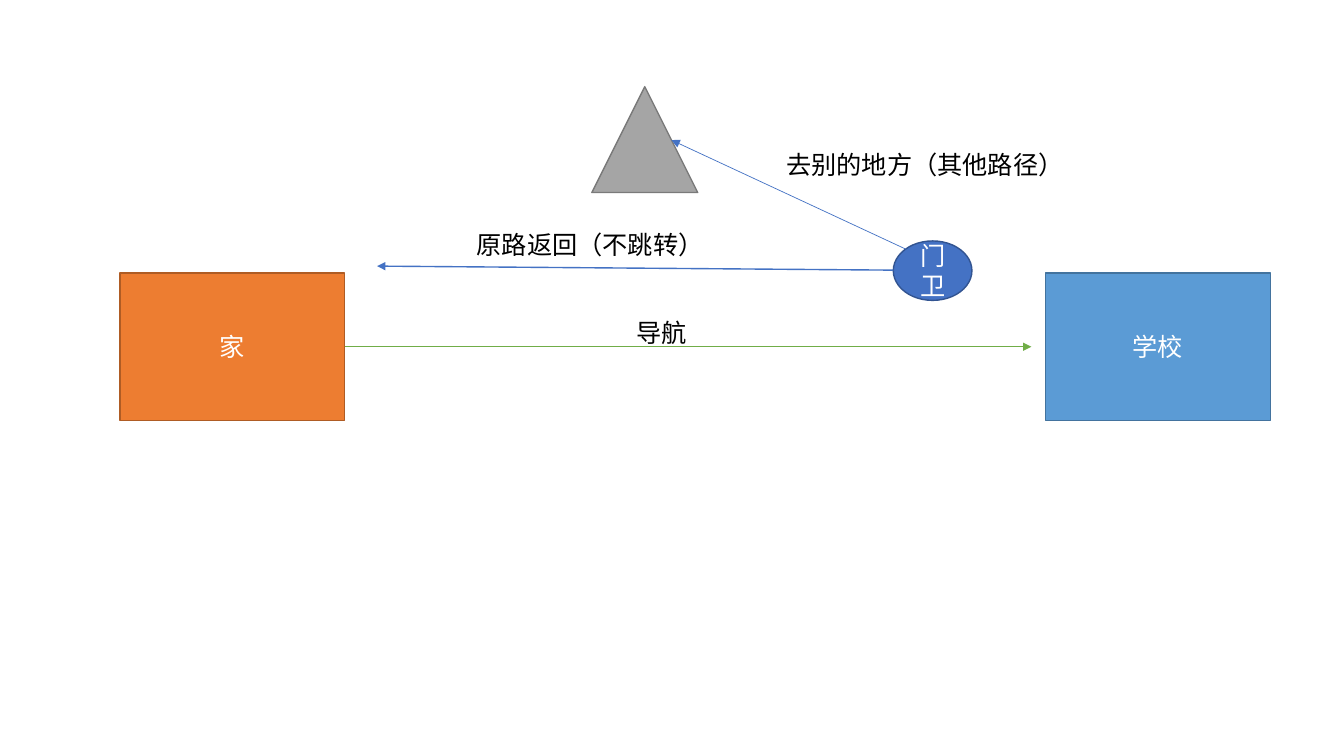
from pptx import Presentation
from pptx.dml.color import RGBColor
from pptx.enum.shapes import MSO_CONNECTOR, MSO_SHAPE
from pptx.enum.text import MSO_ANCHOR, MSO_AUTO_SIZE, PP_ALIGN
from pptx.oxml.ns import qn
from pptx.util import Inches, Pt
from lxml.etree import SubElement

FONT = "Noto Sans CJK SC"
COLORS = {
    "home": "ED7D31", "home_edge": "AF5C24",
    "school": "5B9BD5", "school_edge": "43739E",
    "guard": "4472C4", "guard_edge": "325491",
    "elsewhere": "A5A5A5", "elsewhere_edge": "7A7A7A",
    "navigation": "70AD47", "white": "FFFFFF", "black": "000000",
}
BUILDING_TOP, BUILDING_WIDTH, BUILDING_HEIGHT = 2.71, 2.23, 1.46
HOME_LEFT, SCHOOL_LEFT = 1.19, 10.37
ROAD_Y = BUILDING_TOP + BUILDING_HEIGHT / 2

PLACES = [
    ("home", "家", MSO_SHAPE.RECTANGLE, (HOME_LEFT, BUILDING_TOP, BUILDING_WIDTH, BUILDING_HEIGHT)),
    ("school", "学校", MSO_SHAPE.RECTANGLE, (SCHOOL_LEFT, BUILDING_TOP, BUILDING_WIDTH, BUILDING_HEIGHT)),
    ("guard", "门卫", MSO_SHAPE.OVAL, (8.86, 2.39, 0.78, 0.59)),
    ("elsewhere", "", MSO_SHAPE.ISOSCELES_TRIANGLE, (5.87, 0.86, 1.05, 1.05)),
]
ROUTES = [
    ("navigation", 1, (HOME_LEFT + BUILDING_WIDTH, ROAD_Y, 10.23, ROAD_Y)),
    ("guard", 1, (8.86, 2.68, 3.74, 2.64)),
    ("guard", 0.5, (8.98, 2.47, 6.66, 1.39)),
]
LABELS = [
    ("导航", (6.21, 3.1, 0.71, 0.4)),
    ("去别的地方（其他路径）", (7.7, 1.43, 2.98, 0.4)),
    ("原路返回（不跳转）", (4.63, 2.23, 2.47, 0.4)),
]
PLACE_FRAME = {"word_wrap": True, "vertical_anchor": MSO_ANCHOR.MIDDLE}
LABEL_FRAME = {"word_wrap": False, "auto_size": MSO_AUTO_SIZE.SHAPE_TO_FIT_TEXT}


def color(name):
    return RGBColor.from_string(COLORS[name])


def inches(values):
    return [Inches(value) for value in values]


def set_line(line, name, width):
    line.color.rgb = color(name)
    line.width = Pt(width)


def write(shape, text, color_name, alignment, frame_format):
    frame = shape.text_frame
    for name, value in frame_format.items():
        setattr(frame, name, value)
    paragraph = frame.paragraphs[0]
    paragraph.alignment = alignment
    run = paragraph.add_run()
    run.text = text
    for name, value in {"name": FONT, "size": Pt(18)}.items():
        setattr(run.font, name, value)
    run.font.color.rgb = color(color_name)
    SubElement(run.font._element, qn("a:ea"), typeface=FONT)


presentation = Presentation()
presentation.slide_width, presentation.slide_height = inches((13.33, 7.5))
slide = presentation.slides.add_slide(presentation.slide_layouts[6])

for name, text, kind, box in PLACES:
    shape = slide.shapes.add_shape(kind, *inches(box))
    shape.shadow.inherit = False
    shape.fill.solid()
    shape.fill.fore_color.rgb = color(name)
    set_line(shape.line, name + "_edge", 1)
    if text:
        write(shape, text, "white", PP_ALIGN.CENTER, PLACE_FRAME)

for name, width, ends in ROUTES:
    connector = slide.shapes.add_connector(MSO_CONNECTOR.STRAIGHT, *inches(ends))
    set_line(connector.line, name, width)
    SubElement(connector.line._get_or_add_ln(), qn("a:tailEnd"), type="triangle")
    SubElement(connector._element.spPr, qn("a:effectLst"))

for text, box in LABELS:
    write(slide.shapes.add_textbox(*inches(box)), text, "black", PP_ALIGN.LEFT, LABEL_FRAME)

presentation.save("out.pptx")
